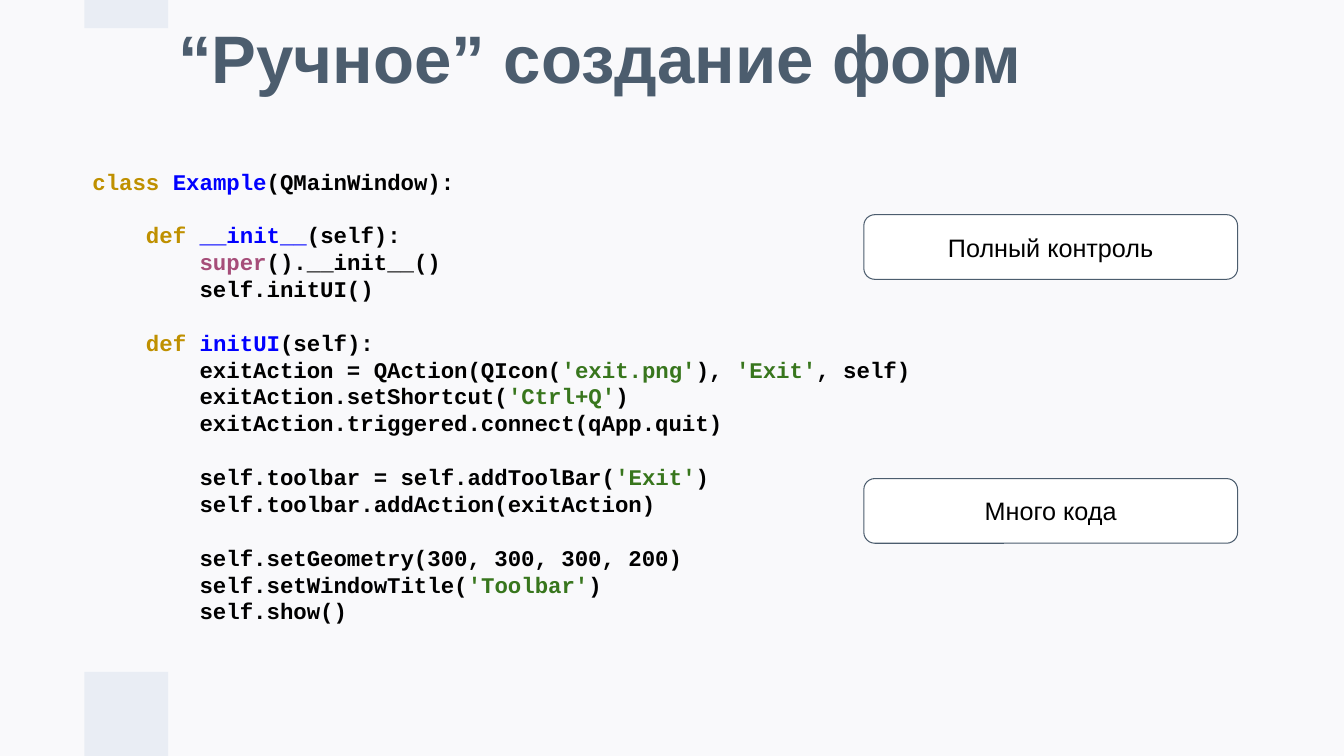
import pptx
import pptx.dml.color
import pptx.enum.shapes
import pptx.enum.text
import pptx.util

Cm = pptx.util.Cm
Pt = pptx.util.Pt
ALIGN = pptx.enum.text.PP_ALIGN
SHAPE = pptx.enum.shapes.MSO_SHAPE

SLATE = "4C5D6E"
TITLE = {"name": "Arial", "size": Pt(48), "bold": True}
LABEL = {"name": "Arial", "size": Pt(18), "bold": False}
CODE = {"name": "Courier New", "size": Pt(16), "bold": True}
TOKENS = {"plain": "000000", "key": "BF9000", "name": "0000FF",
          "builtin": "A64D79", "string": "38761D"}

LISTING = [
    [("key", "class "), ("name", "Example"), ("plain", "(QMainWindow):")],
    [],
    [("key", "    def "), ("name", "__init__"), ("plain", "(self):")],
    [("builtin", "        super"), ("plain", "().__init__()")],
    [("plain", "        self.initUI()")],
    [],
    [("key", "    def "), ("name", "initUI"), ("plain", "(self):")],
    [("plain", "        exitAction = QAction(QIcon("), ("string", "'exit.png'"),
     ("plain", "), "), ("string", "'Exit'"), ("plain", ", self)")],
    [("plain", "        exitAction.setShortcut("), ("string", "'Ctrl+Q'"), ("plain", ")")],
    [("plain", "        exitAction.triggered.connect(qApp.quit)")],
    [],
    [("plain", "        self.toolbar = self.addToolBar("), ("string", "'Exit'"), ("plain", ")")],
    [("plain", "        self.toolbar.addAction(exitAction)")],
    [],
    [("plain", "        self.setGeometry(300, 300, 300, 200)")],
    [("plain", "        self.setWindowTitle("), ("string", "'Toolbar'"), ("plain", ")")],
    [("plain", "        self.show()")],
]


def rgb(value):
    return pptx.dml.color.RGBColor.from_string(value)


def paint(shape, fill, line=None):
    shape.shadow.inherit = False
    shape.fill.solid()
    shape.fill.fore_color.rgb = rgb(fill)
    if line:
        shape.line.color.rgb = rgb(line)
        shape.line.width = Pt(0.75)
    else:
        shape.line.fill.background()


def frame(shape, inset):
    tf = shape.text_frame
    formats = {"word_wrap": True, "auto_size": pptx.enum.text.MSO_AUTO_SIZE.NONE,
               "vertical_anchor": pptx.enum.text.MSO_ANCHOR.MIDDLE,
               "margin_left": Cm(0.25), "margin_right": Cm(0.25),
               "margin_top": inset, "margin_bottom": inset}
    for key, value in formats.items():
        setattr(tf, key, value)
    return tf.paragraphs[0]


def add_run(p, text, formats, color):
    r = p.add_run()
    r.text = text
    for key, value in formats.items():
        setattr(r.font, key, value)
    r.font.color.rgb = rgb(color)


def add_bars(s, left, top, width, height):
    upper, lower = Cm(0.71), Cm(2.12)
    for y, h in ((top, upper), (top + height - lower, lower)):
        paint(s.shapes.add_shape(SHAPE.RECTANGLE, left, y, width, h), "E9EDF4")


def add_title(s, left, top, width, height):
    sp = s.shapes.title
    for key, value in {"left": left, "top": top, "width": width, "height": height}.items():
        setattr(sp, key, value)
    p = frame(sp, Cm(0.13))
    p.alignment = ALIGN.LEFT
    p.line_spacing = 0.9
    add_run(p, "“Ручное” создание форм", TITLE, SLATE)


def add_code(s, left, top, width, height):
    p = frame(s.shapes.add_textbox(left, top, width, height), Cm(0.25))
    p.line_spacing = Pt(19.2)
    for i, line in enumerate(LISTING):
        if i:
            p.add_line_break()
        for token, text in line:
            add_run(p, text, CODE, TOKENS[token])


def add_labels(s, left, top, width, height):
    label_height = Cm(1.63)
    step = height - label_height
    for i, text in enumerate(("Полный контроль", "Много кода")):
        sp = s.shapes.add_shape(SHAPE.ROUNDED_RECTANGLE, left, top + i * step,
                                width, label_height)
        sp.adjustments[0] = 0.17
        paint(sp, "FFFFFF", SLATE)
        p = frame(sp, Cm(0.25))
        p.alignment = ALIGN.CENTER
        add_run(p, text, LABEL, "000000")


def main():
    prs = pptx.Presentation()
    prs.slide_width, prs.slide_height = Cm(33.87), Cm(19.05)
    s = prs.slides.add_slide(prs.slide_layouts[5])
    s.background.fill.solid()
    s.background.fill.fore_color.rgb = rgb("F9F9FB")
    add_bars(s, Cm(2.13), 0, Cm(2.11), prs.slide_height)
    add_title(s, Cm(4.24), Cm(0.15), Cm(27.41), Cm(2.82))
    add_code(s, Cm(2.08), Cm(3.86), Cm(24.82), Cm(12.24))
    add_labels(s, Cm(21.77), Cm(5.41), Cm(9.42), Cm(8.28))
    prs.save("out.pptx")


if __name__ == "__main__":
    main()
